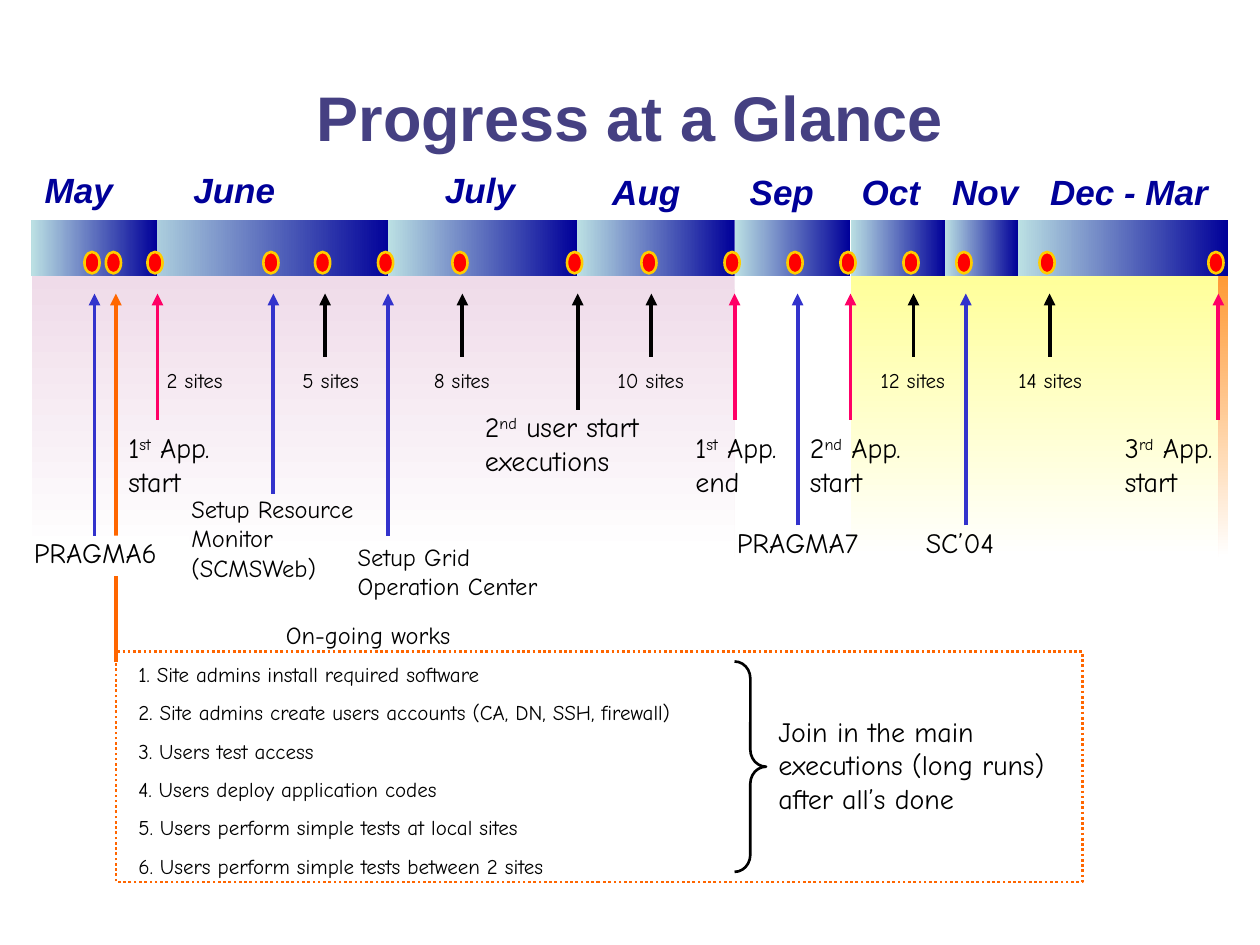
from dataclasses import dataclass

from lxml.etree import SubElement
from pptx import Presentation
from pptx.dml.color import RGBColor
from pptx.enum.dml import MSO_LINE
from pptx.enum.shapes import MSO_CONNECTOR, MSO_SHAPE
from pptx.enum.text import MSO_ANCHOR, MSO_AUTO_SIZE, PP_ALIGN
from pptx.oxml.ns import qn
from pptx.util import Inches, Pt


@dataclass(frozen=True)
class Theme:
    heading_font: str = "Arial"
    body_font: str = "Comic Neue"
    title: str = "454082"
    month: str = "000099"
    month_light: str = "BBE0E3"
    white: str = "FFFFFF"
    text: str = "000000"
    dot: str = "FF0000"
    dot_ring: str = "FFCC00"
    meeting: str = "3333CC"
    application: str = "FF0066"
    ongoing: str = "FF6600"
    phase_one: str = "EFDBE9"
    phase_two: str = "FFFF99"
    phase_three: str = "FF9933"
    title_size: int = 36
    month_size: int = 20
    large: int = 16
    medium: int = 14
    small: int = 12


def rgb(value):
    return RGBColor.from_string(value)


def inches(*lengths):
    return [Inches(length) for length in lengths]


class SlideBuilder:
    def __init__(self, slide, theme):
        self.slide = slide
        self.theme = theme

    def format_font(self, font, size, color, name, bold=None, italic=None):
        font.size, font.name = Pt(size), name
        font.bold, font.italic = bold, italic
        font.color.rgb = rgb(color)

    def title(self, text, box):
        title = self.slide.shapes.title
        title.left, title.top, title.width, title.height = inches(*box)
        title.text_frame.text = text
        title.text_frame.vertical_anchor = MSO_ANCHOR.MIDDLE
        paragraph = title.text_frame.paragraphs[0]
        paragraph.alignment = PP_ALIGN.CENTER
        self.format_font(paragraph.runs[0].font, self.theme.title_size,
                         self.theme.title, self.theme.heading_font, bold=True)

    def shape(self, kind, box, fill=None, line=None, width=1.5):
        shape = self.slide.shapes.add_shape(kind, *inches(*box))
        shape.shadow.inherit = False
        if fill:
            shape.fill.solid()
            shape.fill.fore_color.rgb = rgb(fill)
        else:
            shape.fill.background()
        if line:
            shape.line.color.rgb = rgb(line)
            shape.line.width = Pt(width)
        else:
            shape.line.fill.background()
        return shape

    def gradient(self, box, colors, angle):
        shape = self.shape(MSO_SHAPE.RECTANGLE, box)
        shape.fill.gradient()
        shape.fill.gradient_angle = angle
        for stop, color in zip(shape.fill.gradient_stops, colors):
            stop.color.rgb = rgb(color)

    def text_box(self, box, wrap, side, top, bottom):
        shape = self.slide.shapes.add_textbox(*inches(*box))
        frame = shape.text_frame
        frame.word_wrap = wrap
        frame.auto_size = MSO_AUTO_SIZE.SHAPE_TO_FIT_TEXT
        frame.margin_left = frame.margin_right = Inches(side)
        frame.margin_top, frame.margin_bottom = Inches(top), Inches(bottom)
        return shape

    def month(self, text, box):
        frame = self.text_box(box, False, 0.03, 0.02, 0.02).text_frame
        frame.text = text
        paragraph = frame.paragraphs[0]
        paragraph.alignment = PP_ALIGN.CENTER
        self.format_font(paragraph.runs[0].font, self.theme.month_size, self.theme.month,
                         self.theme.heading_font, bold=True, italic=True)

    def label(self, lines, box, size, align=None, wrap=True, gap=0):
        """Write one paragraph per line; text between ^ marks is superscript."""
        shape = self.text_box(box, wrap, 0.1, 0, 0.05)
        frame = shape.text_frame
        for number, line in enumerate(lines):
            paragraph = frame.add_paragraph() if number else frame.paragraphs[0]
            paragraph.alignment = align
            if number:
                paragraph.space_before = Pt(gap)
            for position, part in enumerate(line.split("^")):
                run = paragraph.add_run()
                run.text = part
                self.format_font(run.font, size, self.theme.text, self.theme.body_font)
                if position % 2:
                    run.font._element.set("baseline", "30000")
        return shape

    def arrow(self, x, bottom, top, color, source=None):
        connector = self.slide.shapes.add_connector(
            MSO_CONNECTOR.STRAIGHT, *inches(x, bottom, x, top))
        if source is not None:
            connector.begin_connect(source, 0)
            connector.end_x = connector.begin_x
        connector.line.color.rgb = rgb(color)
        connector.line.width = Pt(2.25)
        SubElement(connector.line._get_or_add_ln(), qn("a:tailEnd"), type="triangle")
        SubElement(connector._element.spPr, qn("a:effectLst"))


def main():
    theme = Theme()
    presentation = Presentation()
    presentation.slide_width, presentation.slide_height = inches(10, 7.5)
    slide = presentation.slides.add_slide(presentation.slide_layouts[5])
    builder = SlideBuilder(slide, theme)
    builder.title("Progress at a Glance", (0.5, 0.3, 9, 1.25))

    # Phase bands fading downwards
    for left, width, color in ((9.67, 0.08, theme.phase_three),
                               (6.75, 2.92, theme.phase_two),
                               (0.25, 5.58, theme.phase_one)):
        builder.gradient((left, 2.17, width, 2.25), (color, theme.white), 270)

    # Month bars with names; May comes last as it overlaps June
    months = (
        ("June", 1.08, 2.03, 1.48, 1.32, 0.76), ("July", 3.08, 1.5, 3.47, 1.32, 0.68),
        ("Aug", 4.58, 1.25, 4.78, 1.33, 0.7), ("Sep", 5.83, 0.92, 5.87, 1.33, 0.67),
        ("Oct", 6.75, 0.75, 6.75, 1.33, 0.64), ("Nov", 7.5, 0.58, 7.5, 1.33, 0.64),
        ("Dec - Mar", 8.08, 1.67, 8.17, 1.33, 1.58), ("May", 0.25, 1, 0.25, 1.32, 0.75),
    )
    for name, bar_left, bar_width, left, top, width in months:
        builder.gradient((bar_left, 1.75, bar_width, 0.44),
                         (theme.month, theme.month_light), 180)
        builder.month(name, (left, top, width, 0.36))

    # The on-going works arrow passes behind the PRAGMA6 label
    arrow_top, ongoing_x = 2.33, 0.92
    builder.arrow(ongoing_x, 5.25, arrow_top, theme.ongoing)

    # Event labels
    events = (
        ("1^st^ App. start", 0.92, 3.42, 0.92, 0.58, theme.large),
        ("1^st^ App. end", 5.42, 3.42, 0.92, 0.58, theme.large),
        ("2^nd^ App. start", 6.33, 3.42, 1, 0.58, theme.large),
        ("3^rd^ App. start", 8.83, 3.42, 1, 0.58, theme.large),
        ("2^nd^ user start executions", 3.75, 3.25, 1.67, 0.58, theme.large),
        ("PRAGMA6", 0.17, 4.25, 1.33, 0.32, theme.large),
        ("PRAGMA7", 5.75, 4.17, 1.33, 0.32, theme.large),
        ("SC’04", 7.25, 4.17, 0.83, 0.32, theme.large),
        ("Setup Resource Monitor (SCMSWeb)", 1.42, 3.92, 1.67, 0.75, theme.medium),
        ("On-going works", 2.17, 4.92, 1.67, 0.29, theme.medium),
    )
    labels = {text: builder.label([text], box, size) for text, *box, size in events}
    labels["PRAGMA6"].fill.solid()
    labels["PRAGMA6"].fill.fore_color.rgb = rgb(theme.white)
    builder.label(["Setup Grid", "Operation Center"], (2.74, 4.3, 1.63, 0.52),
                  theme.medium, wrap=False)

    # Site counts
    for count, left, width in ((2, 1.17, 0.75), (5, 2.25, 0.75), (8, 3.25, 0.83),
                               (10, 4.75, 0.83), (12, 6.83, 0.83), (14, 7.92, 0.83)):
        builder.label([f"{count} sites"], (left, 2.92, width, 0.25), theme.small,
                      PP_ALIGN.CENTER)

    # Arrows: colour, lower end, places along the timeline
    arrows = (
        (theme.text, 2.83, (2.58, 3.67, 5.17, 7.25, 8.33)),
        (theme.text, 3.25, (4.58,)),
        (theme.application, 3.33, (1.25, 5.83, 6.75, 9.67)),
        (theme.meeting, 3.92, (2.17,)),
        (theme.meeting, 4.17, (6.33, 7.67)),
        (theme.meeting, 4.25, (0.75, 3.08)),
    )
    sources = {4.58: labels["2^nd^ user start executions"], 7.67: labels["SC’04"]}
    for color, bottom, places in arrows:
        for x in places:
            builder.arrow(x, bottom, arrow_top, color, sources.get(x))

    # A dot on the month bars above every arrow
    for x in [ongoing_x] + [x for _, _, places in arrows for x in places]:
        builder.shape(MSO_SHAPE.OVAL, (x - 0.08, 2, 0.12, 0.17), theme.dot, theme.dot_ring)

    # On-going works: steps, dotted frame, brace and outcome
    steps = ("Site admins install required software",
             "Site admins create users accounts (CA, DN, SSH, firewall)",
             "Users test access",
             "Users deploy application codes",
             "Users perform simple tests at local sites",
             "Users perform simple tests between 2 sites")
    builder.label([f"{number}. {step}" for number, step in enumerate(steps, 1)],
                  (1, 5.25, 5.08, 1.77), theme.small, gap=7.5)
    frame = builder.shape(MSO_SHAPE.RECTANGLE, (0.92, 5.17, 7.67, 1.83), line=theme.ongoing)
    frame.line.dash_style = MSO_LINE.ROUND_DOT
    brace = builder.shape(MSO_SHAPE.RIGHT_BRACE, (5.83, 5.25, 0.25, 1.67), line=theme.text)
    brace.adjustments[0] = 0.54
    builder.label(["Join in the main executions (long runs) after all’s done"],
                  (6.08, 5.67, 2.5, 0.85), theme.large)

    presentation.save("out.pptx")


if __name__ == "__main__":
    main()
